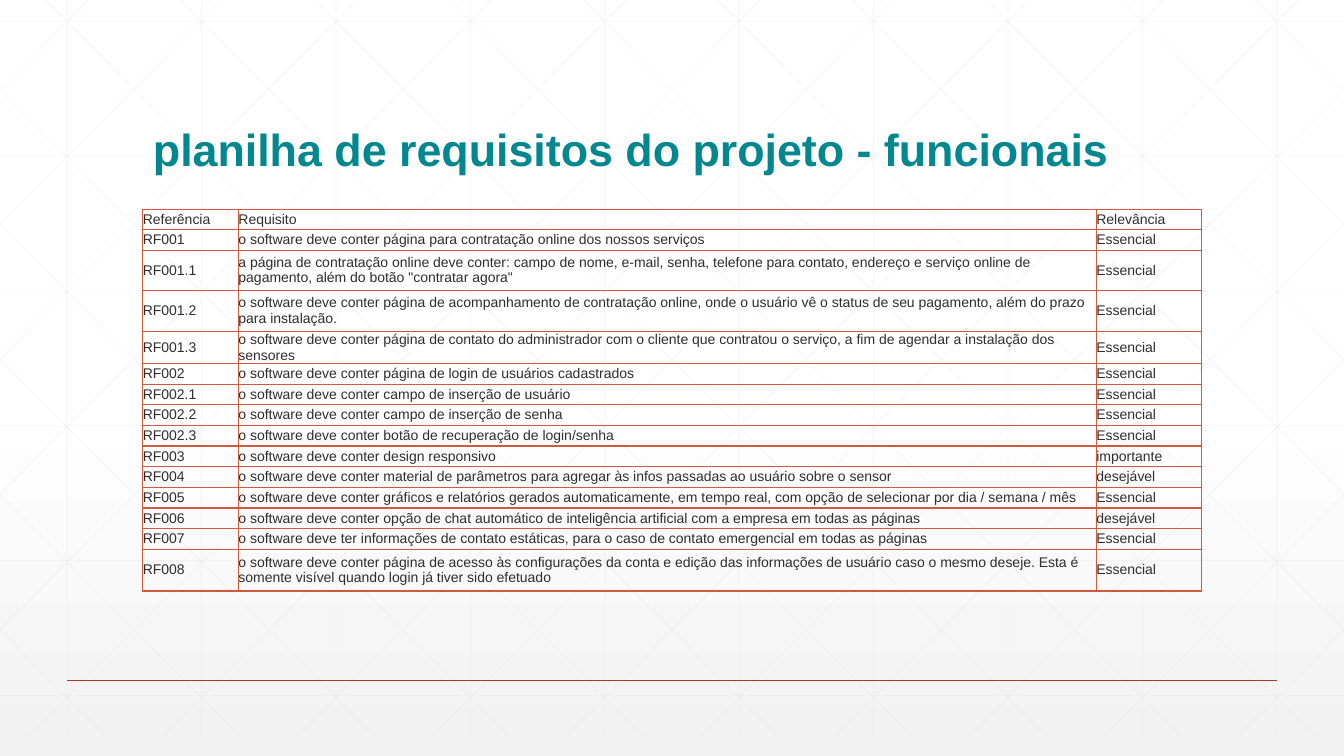
from lxml.etree import SubElement
from pptx import Presentation
from pptx.dml.color import RGBColor
from pptx.enum.shapes import MSO_CONNECTOR
from pptx.enum.text import MSO_ANCHOR, MSO_AUTO_SIZE, PP_ALIGN
from pptx.oxml.ns import qn
from pptx.util import Cm, Pt

COLORS = {
    "white": "FFFFFF",
    "shade": "F2F2F2",
    "grid": "D9D9D9",
    "rule": "A43F27",
    "border": "D15A3E",
    "title": "00878F",
    "text": "2D2E2D",
}
PAGE_WIDTH, PAGE_HEIGHT = 33.87, 19.05
COLUMN_WIDTHS = [2.41, 21.62, 2.64]
HEADINGS = ("Referência", "Requisito", "Relevância", 0.52)
REQUIREMENTS = [
    ("RF001", "o software deve conter página para contratação online dos nossos serviços", "Essencial", 0.52),
    ("RF001.1", "a página de contratação online deve conter: campo de nome, e-mail, senha, telefone para contato, "
     "endereço e serviço online de pagamento, além do botão \"contratar agora\"", "Essencial", 1),
    ("RF001.2", "o software deve conter página de acompanhamento de contratação online, onde o usuário vê o status "
     "de seu pagamento, além do prazo para instalação.", "Essencial", 1.05),
    ("RF001.3", "o software deve conter página de contato do administrador com o cliente que contratou o serviço, "
     "a fim de agendar a instalação dos sensores", "Essencial", 0.8),
    ("RF002", "o software deve conter página de login de usuários cadastrados", "Essencial", 0.52),
    ("RF002.1", "o software deve conter campo de inserção de usuário", "Essencial", 0.52),
    ("RF002.2", "o software deve conter campo de inserção de senha", "Essencial", 0.52),
    ("RF002.3", "o software deve conter botão de recuperação de login/senha", "Essencial", 0.52),
    ("RF003", "o software deve conter design responsivo", "importante", 0.52),
    ("RF004", "o software deve conter material de parâmetros para agregar às infos passadas ao usuário sobre o sensor",
     "desejável", 0.52),
    ("RF005", "o software deve conter gráficos e relatórios gerados automaticamente, em tempo real, com opção de "
     "selecionar por dia / semana / mês", "Essencial", 0.52),
    ("RF006", "o software deve conter opção de chat automático de inteligência artificial com a empresa em todas "
     "as páginas", "desejável", 0.52),
    ("RF007", "o software deve ter informações de contato estáticas, para o caso de contato emergencial em todas "
     "as páginas", "Essencial", 0.52),
    ("RF008", "o software deve conter página de acesso às configurações da conta e edição das informações de usuário "
     "caso o mesmo deseje. Esta é somente visível quando login já tiver sido efetuado", "Essencial", 1.05),
]


def color(name):
    return RGBColor.from_string(COLORS[name])


def write(frame, text, size, fill, bold=False, spacing=1.0):
    para = frame.paragraphs[0]
    para.alignment = PP_ALIGN.LEFT
    para.line_spacing = spacing
    span = para.add_run()
    span.text = text
    span.font.name = "Arial"
    span.font.size = Pt(size)
    span.font.bold = bold
    span.font.color.rgb = color(fill)


def add_line(shapes, start, end, stroke, width, opacity=100):
    line = shapes.add_connector(MSO_CONNECTOR.STRAIGHT, *[Cm(value) for value in (*start, *end)])
    line.line.color.rgb = color(stroke)
    line.line.width = Pt(width)
    properties = line._element.spPr
    if opacity < 100:
        tint = properties.find(".//" + qn("a:srgbClr"))
        SubElement(tint, qn("a:alpha"), val=str(opacity * 1000))
    SubElement(properties, qn("a:effectLst"))


def paint_background(page):
    fill = page.background.fill
    fill.gradient()
    fill.gradient_angle = 270
    for stop, position, name in zip(fill.gradient_stops, (0.53, 1), ("white", "shade")):
        stop.position = position
        stop.color.rgb = color(name)


def diagonals(width, top, bottom, step):
    run = 18.94
    slope = (bottom - top) / run
    for index in range(-5, 10):
        left = 0.63 + index * step
        start, end = max(left, 0), min(left + run, width)
        yield (start, top + (start - left) * slope), (end, top + (end - left) * slope)


def draw_grid(page, width, top, bottom):
    group = page.shapes.add_group_shape()
    step = width / 10
    segments = [((step * (index + 0.5), top), (step * (index + 0.5), bottom)) for index in range(10)]
    segments += [((0, 0.53 + 3.4 * index), (width, 0.53 + 3.4 * index)) for index in range(6)]
    for (x1, y1), (x2, y2) in diagonals(width, top, bottom, step):
        segments += [((x1, y1), (x2, y2)), ((width - x1, y1), (width - x2, y2))]
    for start, end in segments:
        add_line(group.shapes, start, end, "grid", 0.5, opacity=25)
    page.shapes._spTree.insert(2, group._element)


def place_title(page, left, top, width, height):
    title = page.shapes.title
    title.left, title.top, title.width, title.height = Cm(left), Cm(top), Cm(width), Cm(height)
    frame = title.text_frame
    frame.word_wrap = True
    frame.auto_size = MSO_AUTO_SIZE.NONE
    frame.vertical_anchor = MSO_ANCHOR.BOTTOM
    write(frame, "planilha de requisitos do projeto - funcionais", 32, "title", bold=True, spacing=0.9)


def add_borders(cell):
    properties = cell._tc.get_or_add_tcPr()
    for side in ("lnL", "lnR", "lnT", "lnB"):
        border = SubElement(properties, qn("a:" + side), w=str(Pt(1)))
        fill = SubElement(border, qn("a:solidFill"))
        SubElement(fill, qn("a:srgbClr"), val=COLORS["border"])


def fill_cell(cell, text):
    cell.margin_left = cell.margin_right = cell.margin_top = cell.margin_bottom = 0
    cell.vertical_anchor = MSO_ANCHOR.MIDDLE
    add_borders(cell)
    cell.fill.background()
    write(cell.text_frame, text, 10, "text")


def build_table(page, left, top):
    records = [HEADINGS, *REQUIREMENTS]
    width, height = sum(COLUMN_WIDTHS), sum(record[-1] for record in records)
    table = page.shapes.add_table(
        len(records), len(COLUMN_WIDTHS), Cm(left), Cm(top), Cm(width), Cm(height)).table
    table.first_row = table.horz_banding = False
    for column, column_width in zip(table.columns, COLUMN_WIDTHS):
        column.width = Cm(column_width)
    for row, (*texts, row_height) in zip(table.rows, records):
        row.height = Cm(row_height)
        for cell, text in zip(row.cells, texts):
            fill_cell(cell, text)


def build_requirements_page(deck):
    page = deck.slides.add_slide(deck.slide_layouts[5])
    paint_background(page)
    draw_grid(page, PAGE_WIDTH, -0.53, 18.52)
    add_line(page.shapes, (1.69, 17.15), (PAGE_WIDTH - 1.69, 17.15), "rule", 1)
    place_title(page, 3.6, 1.4, 26.67, 3.18)
    build_table(page, 3.6, 5.27)


def main():
    deck = Presentation()
    deck.slide_width, deck.slide_height = Cm(PAGE_WIDTH), Cm(PAGE_HEIGHT)
    build_requirements_page(deck)
    deck.save("out.pptx")


if __name__ == "__main__":
    main()
